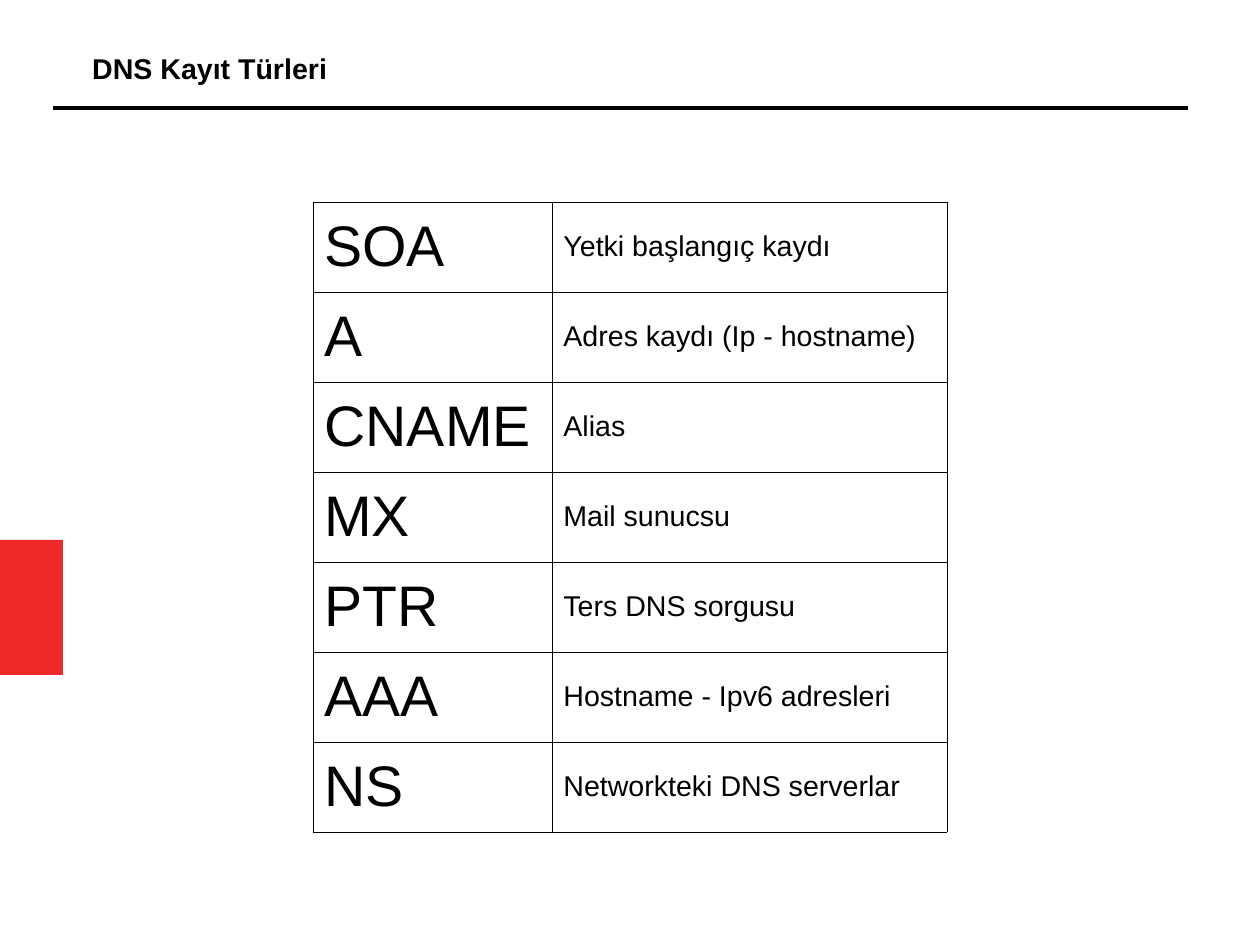
"""Build the slide listing DNS record types in a bordered table."""
from lxml import etree
from pptx import Presentation
from pptx import util as u
from pptx.dml.color import RGBColor
from pptx.enum import shapes, text
from pptx.oxml import ns

COLORS = {"ink": "000000", "accent": "EF2929"}
RECORDS = [
    ("SOA", "Yetki başlangıç kaydı"),
    ("A", "Adres kaydı (Ip - hostname)"),
    ("CNAME", "Alias"),
    ("MX", "Mail sunucsu"),
    ("PTR", "Ters DNS sorgusu"),
    ("AAA", "Hostname - Ipv6 adresleri"),
    ("NS", "Networkteki DNS serverlar"),
]
COLUMN_WIDTHS = (239, 395)
COLUMN_SIZES = (36, 18)
ROW_HEIGHT = 90
BORDER_WIDTH = u.Pt(0.57)


def px(*lengths):
    return [u.Emu(length * 8000) for length in lengths]


def set_font(para, size, bold=False):
    para.font.name = "Arial"
    para.font.size = u.Pt(size)
    para.font.bold = bold
    para.font.color.rgb = RGBColor.from_string(COLORS["ink"])


deck = Presentation()
deck.slide_width, deck.slide_height = px(1260, 945)
page = deck.slides.add_slide(deck.slide_layouts[6])

tab = page.shapes.add_shape(shapes.MSO_SHAPE.RECTANGLE, *px(0, 540, 63, 135))
tab.shadow.inherit = False
tab.fill.solid()
tab.fill.fore_color.rgb = RGBColor.from_string(COLORS["accent"])
tab.line.fill.background()

title = page.shapes.add_textbox(*px(81, 45, 1089, 43))
title.text_frame.word_wrap = True
title_para = title.text_frame.paragraphs[0]
title_para.text = "DNS Kayıt Türleri"
set_font(title_para, 18, bold=True)

rule = page.shapes.add_connector(shapes.MSO_CONNECTOR.STRAIGHT, *px(53, 108, 1188, 108))
rule.line.width = 0
rule.line.color.rgb = RGBColor.from_string(COLORS["ink"])
etree.SubElement(rule._element.spPr, ns.qn("a:effectLst"))

frame = page.shapes.add_table(
    len(RECORDS), len(COLUMN_WIDTHS),
    *px(313, 202, sum(COLUMN_WIDTHS), ROW_HEIGHT * len(RECORDS)))
table = frame.table
table.first_row = False
table.horz_banding = False
for column, width in zip(table.columns, COLUMN_WIDTHS):
    column.width = px(width)[0]

for row, record in zip(table.rows, RECORDS):
    row.height = px(ROW_HEIGHT)[0]
    for cell, words, size in zip(row.cells, record, COLUMN_SIZES):
        cell.text = words
        cell.vertical_anchor = text.MSO_ANCHOR.MIDDLE
        cell.fill.background()
        set_font(cell.text_frame.paragraphs[0], size)
        properties = cell._tc.get_or_add_tcPr()
        for position, side in enumerate(("lnL", "lnR", "lnT", "lnB")):
            border = etree.Element(ns.qn(f"a:{side}"), w=str(BORDER_WIDTH))
            fill = etree.SubElement(border, ns.qn("a:solidFill"))
            etree.SubElement(fill, ns.qn("a:srgbClr"), val=COLORS["ink"])
            properties.insert(position, border)

deck.save("out.pptx")
